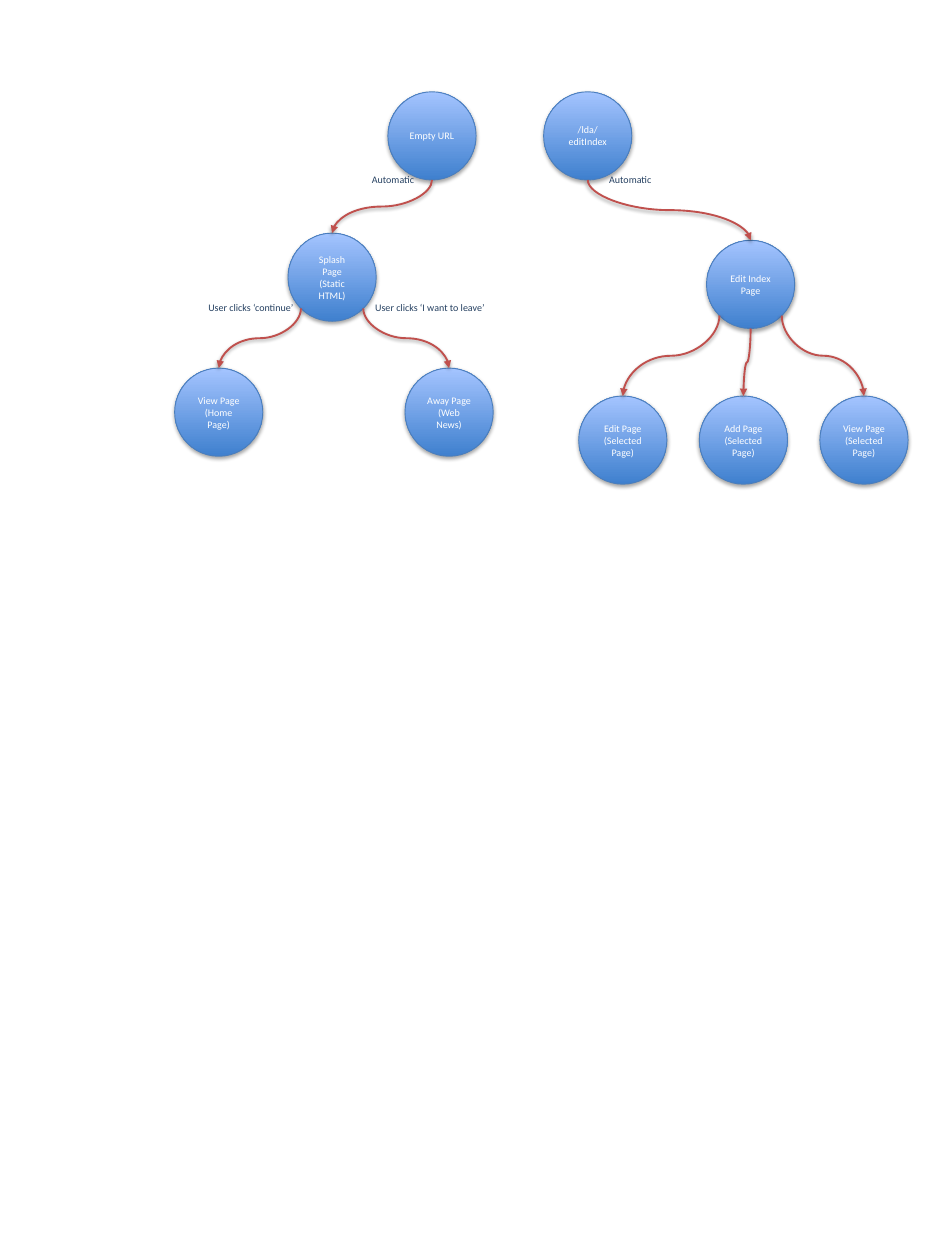
from math import cos, pi

from lxml.etree import SubElement
from pptx import Presentation
from pptx.dml.color import RGBColor
from pptx.enum.shapes import MSO_CONNECTOR, MSO_SHAPE
from pptx.enum.text import MSO_ANCHOR, MSO_AUTO_SIZE, PP_ALIGN
from pptx.oxml.ns import qn
from pptx.util import Inches, Pt

WHITE = RGBColor(0xFF, 0xFF, 0xFF)
NAVY = RGBColor(0x25, 0x40, 0x61)
RED = RGBColor(0xC0, 0x50, 0x4D)
OUTLINE = RGBColor(0x4B, 0x7E, 0xBC)
GRADIENT = (RGBColor(0x3F, 0x80, 0xCE), RGBColor(0xA4, 0xC4, 0xFF))

DIAMETER = 0.98
LABEL_WIDTH, LABEL_HEIGHT = 1.89, 0.24

# name: (text, left, top)
PAGES = {
    "empty": ("Empty URL", 4.31, 1.02),
    "splash": ("Splash Page (Static HTML)", 3.2, 2.59),
    "home": ("View Page (Home Page)", 1.94, 4.09),
    "away": ("Away Page (Web News)", 4.5, 4.09),
    "lda": ("/lda/editIndex", 6.04, 1.02),
    "index": ("Edit Index Page", 7.85, 2.67),
    "edit": ("Edit Page (Selected Page)", 6.43, 4.4),
    "add": ("Add Page (Selected Page)", 7.77, 4.4),
    "view": ("View Page (Selected Page)", 9.11, 4.4),
}

# Connection sites of an ellipse: (number, sideways, downwards) in radii
DIAGONAL = cos(pi / 4)
TOP = 0
SITES = {
    "lower left": (3, -DIAGONAL, DIAGONAL),
    "bottom": (4, 0, 1),
    "lower right": (5, DIAGONAL, DIAGONAL),
}

# (from page, site it leaves, to page)
LINKS = [
    ("empty", "bottom", "splash"),
    ("splash", "lower left", "home"),
    ("splash", "lower right", "away"),
    ("lda", "bottom", "index"),
    ("index", "lower right", "view"),
    ("index", "bottom", "add"),
    ("index", "lower left", "edit"),
]

# (text, left, top, alignment)
LABELS = [
    ("Automatic", 2.81, 1.88, PP_ALIGN.RIGHT),
    ("User clicks ‘continue’", 1.47, 3.3, PP_ALIGN.RIGHT),
    ("User clicks ‘I want to leave’", 4.07, 3.3, PP_ALIGN.LEFT),
    ("Automatic", 6.67, 1.88, PP_ALIGN.LEFT),
]


def add_shadow(properties, opacity, distance):
    """Add a black shadow that falls straight down."""
    effects = properties.find(qn("a:effectLst"))
    if effects is None:
        effects = SubElement(properties, qn("a:effectLst"))
    shadow = SubElement(effects, qn("a:outerShdw"), blurRad=str(Pt(3.1)),
                        dist=str(Pt(distance)), dir="5400000", rotWithShape="0")
    color = SubElement(shadow, qn("a:srgbClr"), val="000000")
    SubElement(color, qn("a:alpha"), val=str(opacity * 1000))


def write(shape, text, color, alignment):
    shape.text_frame.word_wrap = True
    para = shape.text_frame.paragraphs[0]
    para.alignment = alignment
    span = para.add_run()
    span.text = text
    for name, value in {"name": "Calibri", "size": Pt(8)}.items():
        setattr(span.font, name, value)
    span.font.color.rgb = color


def add_page(slide, text, left, top):
    circle = slide.shapes.add_shape(MSO_SHAPE.OVAL, Inches(left), Inches(top),
                                    Inches(DIAMETER), Inches(DIAMETER))
    circle.fill.gradient()
    circle.fill.gradient_angle = 90
    for stop, color in zip(circle.fill.gradient_stops, GRADIENT):
        stop.color.rgb = color
    circle.line.color.rgb = OUTLINE
    circle.line.width = Pt(0.75)
    circle.shadow.inherit = False
    add_shadow(circle.element.spPr, 35, 1.8)
    circle.text_frame.vertical_anchor = MSO_ANCHOR.MIDDLE
    write(circle, text, WHITE, PP_ALIGN.CENTER)
    return circle


def add_link(slide, source, site, target):
    """Curve down from a site of one circle to the top of another."""
    number, sideways, downwards = SITES[site]
    radius = source.width / 2
    start_x = source.left + radius * (1 + sideways)
    start_y = source.top + radius * (1 + downwards)
    end_x, end_y = target.left + radius, target.top

    # The curve is drawn lying on its side, then turned about its centre.
    middle_x, middle_y = (start_x + end_x) / 2, (start_y + end_y) / 2
    half_length, half_spread = (end_y - start_y) / 2, abs(end_x - start_x) / 2
    goes_right = end_x > start_x
    reach = half_length if goes_right else -half_length
    link = slide.shapes.add_connector(
        MSO_CONNECTOR.CURVE, int(middle_x + reach), int(middle_y - half_spread),
        int(middle_x - reach), int(middle_y + half_spread))
    properties = link.element.spPr
    properties.find(qn("a:xfrm")).set("rot", str((270 if goes_right else 90) * 60000))

    joints = link.element.find(".//" + qn("p:cNvCxnSpPr"))
    for tag, page, index in (("a:stCxn", source, number), ("a:endCxn", target, TOP)):
        SubElement(joints, qn(tag), id=str(page.shape_id), idx=str(index))

    link.line.color.rgb = RED
    link.line.width = Pt(1.5)
    SubElement(properties.find(qn("a:ln")), qn("a:tailEnd"), type="triangle")
    add_shadow(properties, 38, 1.6)


def add_label(slide, text, left, top, alignment):
    box = slide.shapes.add_textbox(Inches(left), Inches(top),
                                   Inches(LABEL_WIDTH), Inches(LABEL_HEIGHT))
    write(box, text, NAVY, alignment)
    box.text_frame.auto_size = MSO_AUTO_SIZE.SHAPE_TO_FIT_TEXT


def main():
    deck = Presentation()
    deck.slide_width, deck.slide_height = Inches(10.5), Inches(14)
    slide = deck.slides.add_slide(deck.slide_layouts[6])
    circles = {name: add_page(slide, *page) for name, page in PAGES.items()}
    for source, site, target in LINKS:
        add_link(slide, circles[source], site, circles[target])
    for label in LABELS:
        add_label(slide, *label)
    deck.save("out.pptx")


if __name__ == "__main__":
    main()
